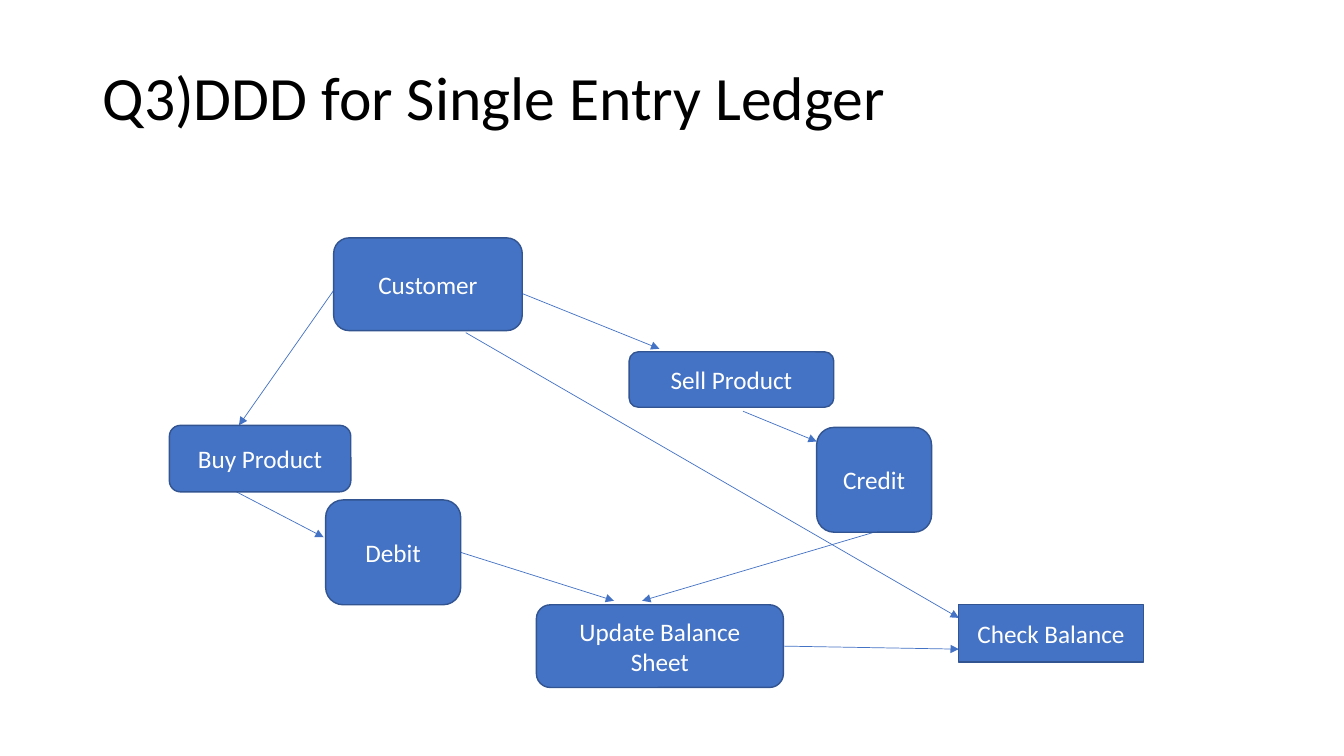
from lxml.etree import SubElement
from pptx import Presentation
from pptx.dml.color import RGBColor
from pptx.enum.shapes import MSO_CONNECTOR, MSO_SHAPE
from pptx.enum.text import MSO_ANCHOR, PP_ALIGN
from pptx.oxml.ns import qn
from pptx.util import Inches, Pt

BLUE = "4472C4"
EDGE = "325491"

STEPS = [
    ("Customer", 3.31, 2.36, 1.87, 0.92, MSO_SHAPE.ROUNDED_RECTANGLE),
    ("Debit", 3.23, 4.96, 1.34, 1.04, MSO_SHAPE.ROUNDED_RECTANGLE),
    ("Credit", 8.1, 4.24, 1.14, 1.04, MSO_SHAPE.ROUNDED_RECTANGLE),
    ("Update Balance Sheet", 5.32, 6, 2.45, 0.82, MSO_SHAPE.ROUNDED_RECTANGLE),
    ("Buy Product", 1.68, 4.22, 1.8, 0.66, MSO_SHAPE.ROUNDED_RECTANGLE),
    ("Sell Product", 6.24, 3.49, 2.03, 0.55, MSO_SHAPE.ROUNDED_RECTANGLE),
    ("Check Balance", 9.51, 6, 1.83, 0.57, MSO_SHAPE.RECTANGLE),
]

FLOWS = [
    (3.31, 2.88, 2.37, 4.22),
    (2.23, 4.82, 3.21, 5.33),
    (4.57, 5.48, 6.09, 5.96),
    (5.1, 2.88, 6.54, 3.46),
    (7.37, 4.08, 8.1, 4.38),
    (8.67, 5.28, 6.37, 5.96),
    (7.77, 6.41, 9.51, 6.44),
    (4.62, 3.3, 9.51, 6.13),
]


def color(value):
    return RGBColor.from_string(value)


def write(shape, text, size=18, fill="FFFFFF", align=PP_ALIGN.CENTER, space=1.0):
    frame = shape.text_frame
    frame.word_wrap = True
    frame.vertical_anchor = MSO_ANCHOR.MIDDLE
    para = frame.paragraphs[0]
    para.alignment = align
    para.line_spacing = space
    run = para.add_run()
    run.text = text
    run.font.name = "Calibri"
    run.font.size = Pt(size)
    run.font.color.rgb = color(fill)


def add_title(slide, text):
    box = slide.shapes.add_textbox(
        Inches(0.92), Inches(0.4), Inches(11.54), Inches(1.2))
    write(box, text, size=44, fill="000000", align=PP_ALIGN.LEFT, space=0.9)


def add_step(slide, text, left, top, width, height, kind):
    shape = slide.shapes.add_shape(
        kind, Inches(left), Inches(top), Inches(width), Inches(height))
    shape.shadow.inherit = False
    shape.fill.solid()
    shape.fill.fore_color.rgb = color(BLUE)
    shape.line.color.rgb = color(EDGE)
    shape.line.width = Pt(1)
    write(shape, text)


def add_flow(slide, *ends):
    link = slide.shapes.add_connector(
        MSO_CONNECTOR.STRAIGHT, *[Inches(end) for end in ends])
    link.line.color.rgb = color(BLUE)
    link.line.width = Pt(0.5)
    SubElement(link.line._get_or_add_ln(), qn("a:tailEnd"), type="triangle")
    SubElement(link._element.spPr, qn("a:effectLst"))


def main():
    deck = Presentation()
    deck.slide_width = Inches(13.33)
    deck.slide_height = Inches(7.5)
    slide = deck.slides.add_slide(deck.slide_layouts[6])
    add_title(slide, "Q3)DDD for Single Entry Ledger")
    for flow in FLOWS:
        add_flow(slide, *flow)
    for step in STEPS:
        add_step(slide, *step)
    deck.save("out.pptx")


main()
